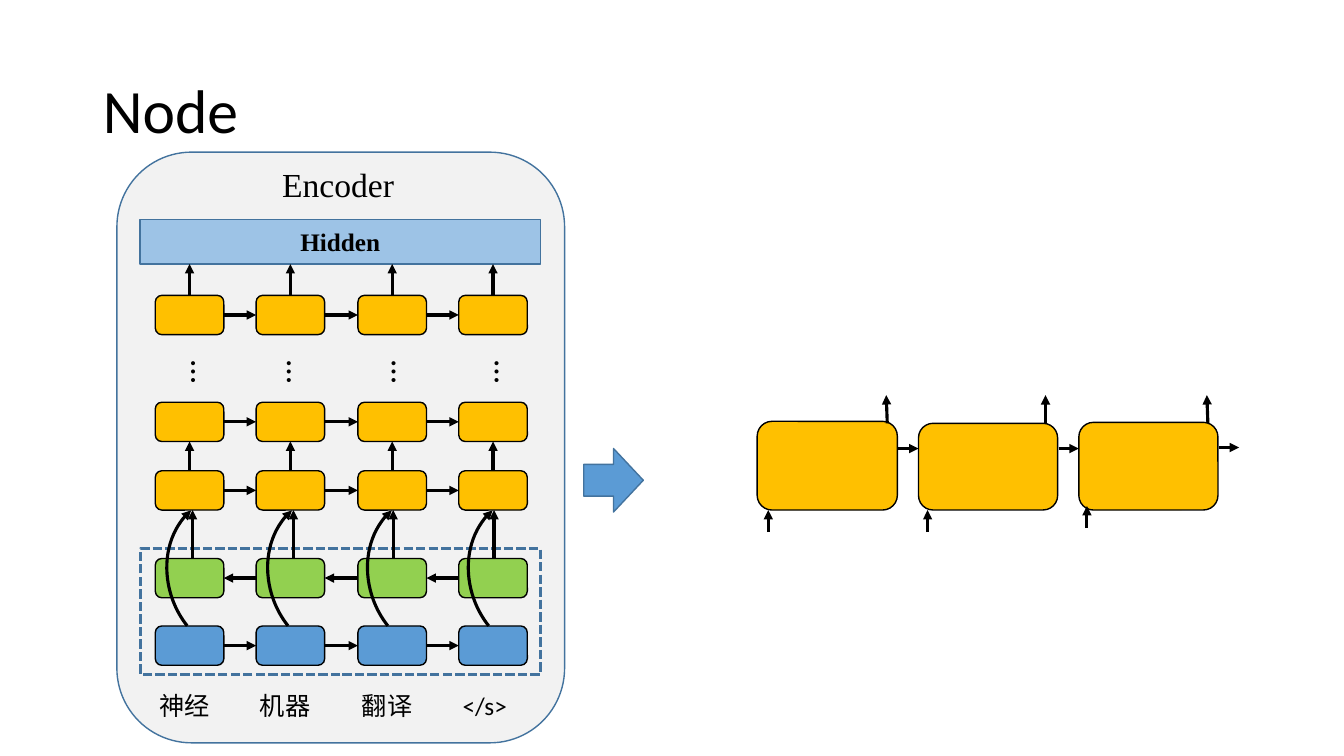
from dataclasses import dataclass
from typing import Optional

from lxml.etree import SubElement
from pptx import Presentation
from pptx.dml.color import RGBColor
from pptx.enum.dml import MSO_LINE
from pptx.enum.shapes import MSO_CONNECTOR, MSO_SHAPE
from pptx.enum.text import MSO_ANCHOR, MSO_AUTO_SIZE, PP_ALIGN
from pptx.oxml.ns import qn
from pptx.shapes.autoshape import Shape
from pptx.shapes.connector import Connector
from pptx.slide import Slide
from pptx.text.text import TextFrame
from pptx.util import Emu, Pt

PX = 9144
BLACK = RGBColor(0x00, 0x00, 0x00)
BLUE = RGBColor(0x5B, 0x9B, 0xD5)
DARK_BLUE = RGBColor(0x43, 0x73, 0x9E)
LIGHT_BLUE = RGBColor(0x9D, 0xC3, 0xE6)
GREY = RGBColor(0xF2, 0xF2, 0xF2)
GREEN = RGBColor(0x92, 0xD0, 0x50)
GOLD = RGBColor(0xFF, 0xC0, 0x00)
SANS = "Calibri"
SERIF = "Times New Roman"
TOP, LEFT, BOTTOM, RIGHT = range(4)


@dataclass(frozen=True)
class Box:
    x: int
    y: int
    w: int
    h: int
    fill: Optional[RGBColor] = None
    line: RGBColor = BLACK
    kind: MSO_SHAPE = MSO_SHAPE.ROUNDED_RECTANGLE


@dataclass(frozen=True)
class Label:
    text: str
    x: int
    y: int
    w: int
    h: int
    size: int
    font: str = SANS
    vertical: bool = False


@dataclass(frozen=True)
class Arrow:
    x1: int
    y1: int
    x2: int
    y2: int


@dataclass(frozen=True)
class Layer:
    y: int
    fill: RGBColor
    backward: bool = False


NODE_XS = [154 + round(100.4 * i) for i in range(4)]
LINK_XS = [191 + round(99.6 * i) for i in range(4)]
NODE_W, NODE_H = 68, 39
WORDS = ["神经", "机器", "翻译", "</s>"]
DOT_XS = [167, 262, 366, 468]

FORWARD = Layer(621, BLUE)
BACKWARD = Layer(554, GREEN, True)
FIRST = Layer(467, GOLD)
SECOND = Layer(399, GOLD)
LAST = Layer(293, GOLD)

ENCODER = Box(116, 151, 444, 586, GREY, DARK_BLUE)
BIDIRECTIONAL = Box(139, 544, 397, 125, None, DARK_BLUE, MSO_SHAPE.RECTANGLE)
HIDDEN = Box(139, 218, 397, 44, LIGHT_BLUE, DARK_BLUE, MSO_SHAPE.RECTANGLE)
ZOOM = Box(579, 445, 59, 63, BLUE, DARK_BLUE, MSO_SHAPE.RIGHT_ARROW)
CELLS = [
    Box(751, 418, 139, 88, GOLD),
    Box(911, 420, 138, 86, GOLD),
    Box(1070, 419, 138, 87, GOLD),
]
CELL_ARROWS = [
    Arrow(891, 445, 911, 445), Arrow(880, 420, 879, 392), Arrow(762, 528, 762, 506),
    Arrow(1050, 445, 1070, 445), Arrow(1037, 420, 1037, 392), Arrow(920, 528, 920, 506),
    Arrow(1209, 444, 1229, 444), Arrow(1198, 420, 1197, 392), Arrow(1078, 524, 1078, 502),
]


def px(n: int) -> Emu:
    return Emu(n * PX)


def add_run(tf: TextFrame, text: str, size: int, font: str, bold: bool = False) -> None:
    r = tf.paragraphs[0].add_run()
    r.text = text
    r.font.size = Pt(size)
    r.font.name = font
    r.font.bold = bold
    r.font.color.rgb = BLACK


def add_box(slide: Slide, b: Box, width: float = 1) -> Shape:
    s = slide.shapes.add_shape(b.kind, px(b.x), px(b.y), px(b.w), px(b.h))
    s.shadow.inherit = False
    if b.fill is None:
        s.fill.background()
    else:
        s.fill.solid()
        s.fill.fore_color.rgb = b.fill
    s.line.color.rgb = b.line
    s.line.width = Pt(width)
    return s


def add_label(slide: Slide, label: Label) -> None:
    s = slide.shapes.add_textbox(px(label.x), px(label.y), px(label.w), px(label.h))
    tf = s.text_frame
    tf.word_wrap = True
    tf.auto_size = MSO_AUTO_SIZE.SHAPE_TO_FIT_TEXT
    if label.vertical:
        s._element.txBody.find(qn("a:bodyPr")).set("vert", "eaVert")
    add_run(tf, label.text, label.size, label.font)


def add_arrow(slide: Slide, a: Arrow) -> Connector:
    c = slide.shapes.add_connector(
        MSO_CONNECTOR.STRAIGHT, px(a.x1), px(a.y1), px(a.x2), px(a.y2))
    c.line.color.rgb = BLACK
    c.line.width = Pt(2.25)
    SubElement(c.line._get_or_add_ln(), qn("a:tailEnd"), type="triangle")
    SubElement(c._element.spPr, qn("a:effectLst"))
    return c


def join(slide: Slide, start: Shape, start_side: int, end: Shape, end_side: int) -> None:
    c = add_arrow(slide, Arrow(0, 0, 0, 0))
    c.begin_connect(start, start_side)
    c.end_connect(end, end_side)


def add_layer(slide: Slide, layer: Layer) -> list[Shape]:
    nodes = [add_box(slide, Box(x, layer.y, NODE_W, NODE_H, layer.fill)) for x in NODE_XS]
    for a, b in zip(nodes, nodes[1:]):
        if layer.backward:
            join(slide, b, LEFT, a, RIGHT)
        else:
            join(slide, a, RIGHT, b, LEFT)
    return nodes


def add_bypass(slide: Slide, x: int) -> None:
    s = add_box(slide, Box(x, 491, 136, 161, kind=MSO_SHAPE.ARC), 2.25)
    s.adjustments[0] = 170.86
    s.adjustments[1] = 14.95
    s.rotation = 159.9
    s._element.spPr.find(qn("a:xfrm")).set("flipV", "1")
    SubElement(s.line._get_or_add_ln(), qn("a:headEnd"), type="triangle")


def add_title(slide: Slide, text: str) -> None:
    s = slide.shapes.title
    s.left, s.top, s.width, s.height = px(92), px(40), px(1150), px(145)
    tf = s.text_frame
    tf.auto_size = MSO_AUTO_SIZE.NONE
    tf.vertical_anchor = MSO_ANCHOR.MIDDLE
    p = tf.paragraphs[0]
    p.alignment = PP_ALIGN.LEFT
    p.line_spacing = 0.9
    add_run(tf, text, 44, SANS)


def add_encoder(slide: Slide) -> None:
    add_box(slide, ENCODER)
    add_box(slide, BIDIRECTIONAL, 2.25).line.dash_style = MSO_LINE.SQUARE_DOT
    hidden = add_box(slide, HIDDEN).text_frame
    hidden.vertical_anchor = MSO_ANCHOR.MIDDLE
    hidden.paragraphs[0].alignment = PP_ALIGN.CENTER
    add_run(hidden, "Hidden", 18, SERIF, True)
    add_label(slide, Label("Encoder", 270, 158, 137, 50, 24, SERIF))

    add_layer(slide, FORWARD)
    add_layer(slide, BACKWARD)
    first, second, last = [add_layer(slide, layer) for layer in (FIRST, SECOND, LAST)]
    for lower, upper in zip(first, second):
        join(slide, lower, TOP, upper, BOTTOM)
    for node, x in zip(last, NODE_XS):
        mid = x + NODE_W // 2
        add_arrow(slide, Arrow(mid, LAST.y, mid, HIDDEN.y + HIDDEN.h)).begin_connect(node, TOP)
    for x in LINK_XS:
        add_arrow(slide, Arrow(x, BACKWARD.y, x, FIRST.y + NODE_H))
        add_bypass(slide, x - 24)
    for word, node_x, dot_x in zip(WORDS, NODE_XS, DOT_XS):
        add_label(slide, Label(word, node_x - 6, 680, 79, 40, 18))
        add_label(slide, Label("…", dot_x, 348, 61, 40, 24, vertical=True))


def main() -> None:
    prs = Presentation()
    prs.slide_width, prs.slide_height = px(1333), px(750)
    slide = prs.slides.add_slide(prs.slide_layouts[5])
    add_title(slide, "Node")
    add_box(slide, ZOOM)
    add_encoder(slide)
    for cell in CELLS:
        add_box(slide, cell)
    for arrow in CELL_ARROWS:
        add_arrow(slide, arrow)
    prs.save("out.pptx")


if __name__ == "__main__":
    main()
